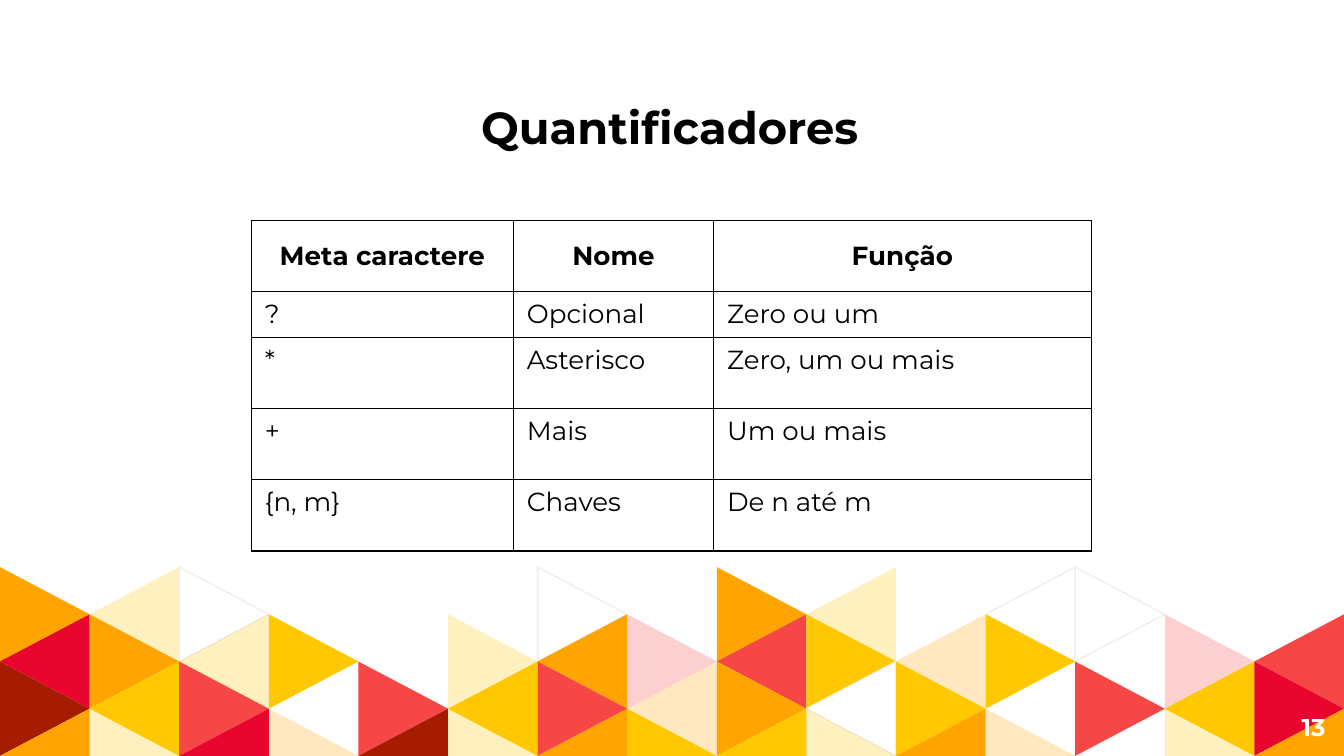
"""Build the slide on quantifiers: a table above a mosaic of triangles."""
from dataclasses import dataclass

import pptx
import pptx.oxml
import pptx.oxml.ns
import pptx.util
from pptx.dml.color import RGBColor
from pptx.enum.text import MSO_ANCHOR, MSO_AUTO_SIZE, PP_ALIGN
from pptx.util import Inches

FONT = "Montserrat"
BLACK = RGBColor(0x00, 0x00, 0x00)
WHITE = RGBColor(0xFF, 0xFF, 0xFF)
GREY = RGBColor(0xEF, 0xEF, 0xEF)
ORANGE = RGBColor(0xFF, 0xA4, 0x00)
YELLOW = RGBColor(0xFF, 0xC8, 0x00)
RED = RGBColor(0xF6, 0x46, 0x46)
CRIMSON = RGBColor(0xE8, 0x06, 0x2F)
BRICK = RGBColor(0xA6, 0x1C, 0x00)

SLIDE_WIDTH = 10
SLIDE_HEIGHT = SLIDE_WIDTH * 9 / 16


@dataclass(frozen=True)
class Tint:
    color: RGBColor
    opacity: int = 100
    outlined: bool = False


TINTS = {
    "O": Tint(ORANGE), "o": Tint(ORANGE, 25),
    "Y": Tint(YELLOW), "y": Tint(YELLOW, 25),
    "R": Tint(RED), "r": Tint(RED, 25),
    "C": Tint(CRIMSON), "B": Tint(BRICK),
    "W": Tint(WHITE, outlined=True),
}
MOSAIC = [
    "OyW...W.Oy.WW..",
    "COyY.yOrRYoY.rR",
    "BYR.RYRoOWY.RYC",
    "OyCoByOYYyOo.yO",
]
MOSAIC_TOP = 4.22
TILE_WIDTH = SLIDE_WIDTH / len(MOSAIC[0])
TILE_STEP = (SLIDE_HEIGHT - MOSAIC_TOP) / len(MOSAIC)

QUANTIFIERS = [
    ("Meta caractere", "Nome", "Função"),
    ("?", "Opcional", "Zero ou um"),
    ("*", "Asterisco", "Zero, um ou mais"),
    ("+", "Mais", "Um ou mais"),
    ("{n, m}", "Chaves", "De n até m"),
]
COLUMN_WIDTHS = [1.95, 1.49, 2.81]
ROW_HEIGHTS = [0.53, 0.34, 0.53, 0.53, 0.53]


def style_text(frame, size: float, color: RGBColor, bold: bool, align: PP_ALIGN) -> None:
    """Format every run of a text frame."""
    for paragraph in frame.paragraphs:
        paragraph.alignment = align
        for run in paragraph.runs:
            run.font.name = FONT
            run.font.size = pptx.util.Pt(size)
            run.font.bold = bold
            run.font.color.rgb = color


def draw_triangle(shapes, column: int, level: int, tint: Tint) -> None:
    """Draw one tile, cut off at the foot of the mosaic."""
    points_right = (column + level) % 2 == 0
    base, apex = (column, column + 1) if points_right else (column + 1, column)
    corners = [(base, level), (apex, level + 1), (base, min(level + 2, len(MOSAIC)))]
    points = [
        (Inches(x * TILE_WIDTH), Inches(MOSAIC_TOP + y * TILE_STEP)) for x, y in corners
    ]
    builder = shapes.build_freeform(*points[0])
    builder.add_line_segments(points[1:], close=True)
    triangle = builder.convert_to_shape()
    triangle.shadow.inherit = False
    triangle.fill.solid()
    triangle.fill.fore_color.rgb = tint.color
    if tint.opacity < 100:
        color = triangle.element.spPr.find(".//" + pptx.oxml.ns.qn("a:srgbClr"))
        alpha = pptx.oxml.parse_xml(
            f'<a:alpha {pptx.oxml.ns.nsdecls("a")} val="{tint.opacity * 1000}"/>'
        )
        color.append(alpha)
    if tint.outlined:
        triangle.line.color.rgb = GREY
        triangle.line.width = pptx.util.Pt(0.75)
    else:
        triangle.line.fill.background()


def draw_mosaic(slide) -> None:
    """Draw the band of triangles as one group."""
    mosaic = slide.shapes.add_group_shape()
    for level, row in enumerate(MOSAIC):
        for column, key in enumerate(row):
            if key in TINTS:
                draw_triangle(mosaic.shapes, column, level, TINTS[key])


def add_borders(cell) -> None:
    """Give a cell thin black lines on all sides."""
    properties = cell._tc.get_or_add_tcPr()
    for side in ("lnL", "lnR", "lnT", "lnB"):
        properties.append(pptx.oxml.parse_xml(
            f'<a:{side} {pptx.oxml.ns.nsdecls("a")} w="{pptx.util.Pt(0.75)}">'
            f'<a:solidFill><a:srgbClr val="{BLACK}"/></a:solidFill></a:{side}>'
        ))


def draw_quantifiers(slide) -> None:
    """Draw the table of quantifiers."""
    table = slide.shapes.add_table(
        len(ROW_HEIGHTS), len(COLUMN_WIDTHS), Inches(1.87), Inches(1.64),
        Inches(sum(COLUMN_WIDTHS)), Inches(sum(ROW_HEIGHTS)),
    ).table
    table.first_row = False
    table.horz_banding = False
    for column, width in zip(table.columns, COLUMN_WIDTHS):
        column.width = Inches(width)
    for index, (row, height, texts) in enumerate(zip(table.rows, ROW_HEIGHTS, QUANTIFIERS)):
        row.height = Inches(height)
        heading = index == 0
        for cell, text in zip(row.cells, texts):
            add_borders(cell)
            cell.fill.background()
            cell.vertical_anchor = MSO_ANCHOR.MIDDLE if heading else MSO_ANCHOR.TOP
            cell.text_frame.text = text
            align = PP_ALIGN.CENTER if heading else PP_ALIGN.LEFT
            style_text(cell.text_frame, 14, BLACK, heading, align)


def draw_title(slide) -> None:
    """Place and format the title."""
    title = slide.shapes.title
    title.left, title.top = Inches(3.48), Inches(0.69)
    title.width, title.height = Inches(3.03), Inches(0.5)
    frame = title.text_frame
    frame.text = "Quantificadores"
    frame.word_wrap = False
    frame.auto_size = MSO_AUTO_SIZE.SHAPE_TO_FIT_TEXT
    frame.vertical_anchor = MSO_ANCHOR.TOP
    style_text(frame, 24, BLACK, True, PP_ALIGN.LEFT)


def draw_page_number(slide) -> None:
    """Write the page number in the lower right corner."""
    frame = slide.shapes.add_textbox(
        Inches(9.35), Inches(5.19), Inches(0.61), Inches(0.43)
    ).text_frame
    frame.text = "13"
    frame.word_wrap = True
    frame.vertical_anchor = MSO_ANCHOR.MIDDLE
    frame.margin_top = frame.margin_bottom = Inches(0.1)
    style_text(frame, 13, WHITE, True, PP_ALIGN.RIGHT)


def main() -> None:
    """Build and save the slide."""
    presentation = pptx.Presentation()
    presentation.slide_width = Inches(SLIDE_WIDTH)
    presentation.slide_height = Inches(SLIDE_HEIGHT)
    slide = presentation.slides.add_slide(presentation.slide_layouts[5])
    draw_mosaic(slide)
    draw_page_number(slide)
    draw_quantifiers(slide)
    draw_title(slide)
    presentation.save("out.pptx")


if __name__ == "__main__":
    main()
